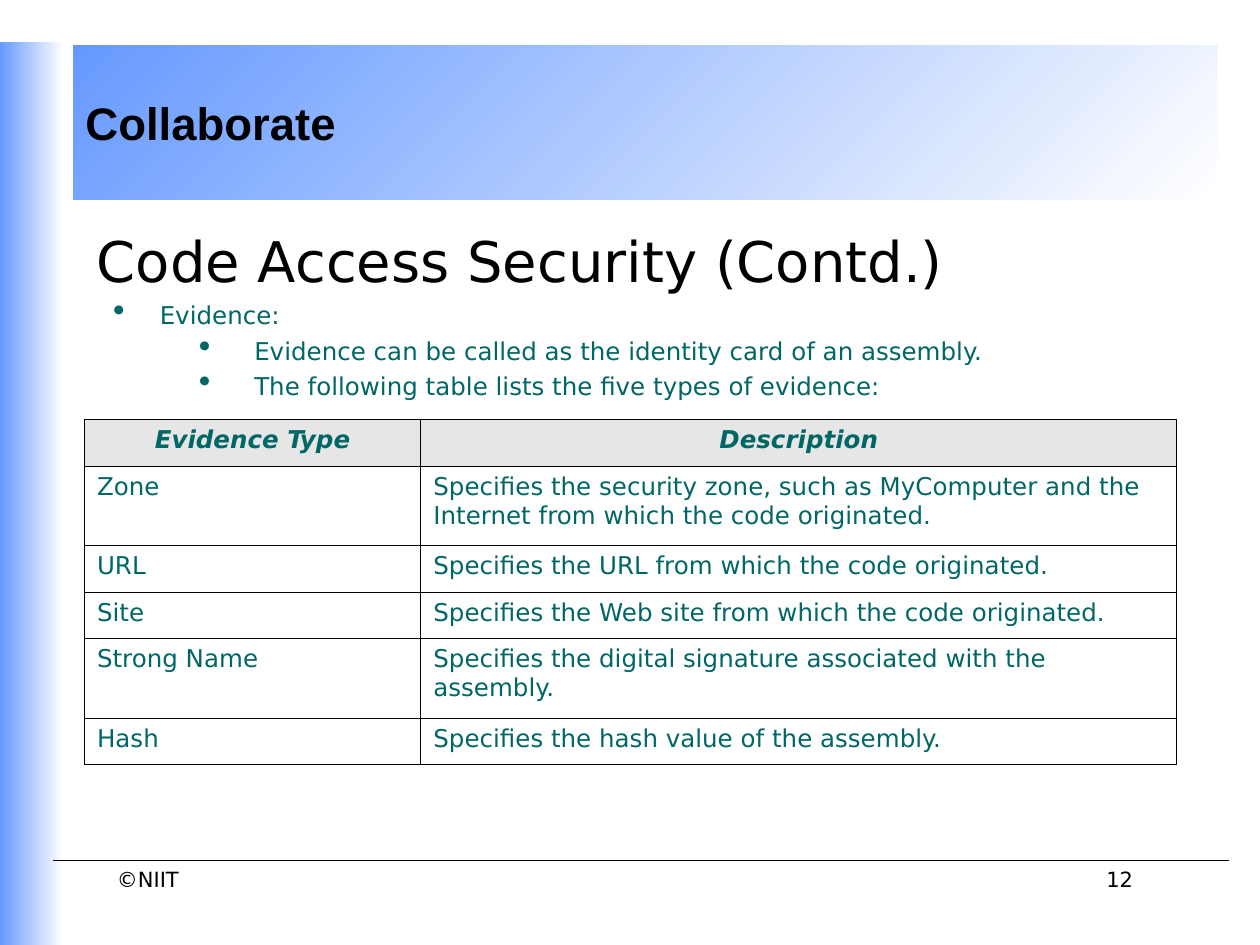
"""Build the Code Access Security slide with its table of evidence types."""
from lxml.etree import SubElement
from pptx import Presentation
from pptx.dml.color import RGBColor
from pptx.enum.shapes import MSO_CONNECTOR, MSO_SHAPE
from pptx.enum.text import MSO_ANCHOR, PP_ALIGN
from pptx.oxml.ns import qn
from pptx.util import Inches, Pt

BLACK = RGBColor(0x00, 0x00, 0x00)
WHITE = RGBColor(0xFF, 0xFF, 0xFF)
BLUE = RGBColor(0x66, 0x99, 0xFF)
TEAL = RGBColor(0x00, 0x66, 0x66)
GRAY = RGBColor(0xE6, 0xE6, 0xE6)
BODY_FONT = "DejaVu Sans"
HEADING_FONT = "Arial"

BANNER = "Collaborate"
TITLE = "Code Access Security (Contd.)"
BULLETS = [
    (1, "Evidence:"),
    (2, "Evidence can be called as the identity card of an assembly."),
    (2, "The following table lists the five types of evidence:"),
]
BULLET_INDENTS = {1: (0.5, -0.37), 2: (1.25, -0.44)}
EVIDENCE = [
    ("Evidence Type", ["Description"]),
    ("Zone", ["Specifies the security zone, such as MyComputer and the",
              "Internet from which the code originated."]),
    ("URL", ["Specifies the URL from which the code originated."]),
    ("Site", ["Specifies the Web site from which the code originated."]),
    ("Strong Name", ["Specifies the digital signature associated with the",
                     "assembly."]),
    ("Hash", ["Specifies the hash value of the assembly."]),
]
COLUMN_WIDTHS = (2.67, 6)
ROW_HEIGHTS = {1: 0.37, 2: 0.63}
FOOTERS = [
    ("©NIIT", (0.83, 6.83, 2.25, 0.42), PP_ALIGN.LEFT),
    ("12", (6.67, 6.83, 2.42, 0.5), PP_ALIGN.RIGHT),
]


def add_span(para, text, size, color, font=BODY_FONT, bold=False, italic=False):
    span = para.add_run()
    span.text = text
    span.font.size = Pt(size)
    span.font.name = font
    span.font.color.rgb = color
    span.font.bold = bold
    span.font.italic = italic


def add_box(page, place):
    box = page.shapes.add_textbox(*map(Inches, place))
    box.text_frame.word_wrap = True
    return box.text_frame


def add_gradient_panel(page, place, angle):
    panel = page.shapes.add_shape(MSO_SHAPE.RECTANGLE, *map(Inches, place))
    panel.shadow.inherit = False
    panel.line.fill.background()
    panel.fill.gradient()
    panel.fill.gradient_angle = angle
    for stop, color in zip(panel.fill.gradient_stops, (WHITE, BLUE)):
        stop.color.rgb = color
    return panel


def set_bullet(para, level):
    properties = para._p.get_or_add_pPr()
    left, hanging = BULLET_INDENTS[level]
    properties.set("marL", str(Inches(left)))
    properties.set("indent", str(Inches(hanging)))
    color = SubElement(properties, qn("a:buClr"))
    SubElement(color, qn("a:srgbClr"), val=str(TEAL))
    SubElement(properties, qn("a:buSzPct"), val="140000")
    SubElement(properties, qn("a:buChar"), char="•")
    para.level = level
    para.space_before = Pt(3.5)


def set_borders(cell):
    properties = cell._tc.get_or_add_tcPr()
    for side in ("lnL", "lnR", "lnT", "lnB"):
        border = SubElement(properties, qn(f"a:{side}"), w=str(Pt(0.45)))
        fill = SubElement(border, qn("a:solidFill"))
        SubElement(fill, qn("a:srgbClr"), val=str(BLACK))


def fill_cell(cell, lines, is_header):
    set_borders(cell)
    if is_header:
        cell.fill.solid()
        cell.fill.fore_color.rgb = GRAY
    else:
        cell.fill.background()
    frame = cell.text_frame
    for index, line in enumerate(lines):
        para = frame.add_paragraph() if index else frame.paragraphs[0]
        para.alignment = PP_ALIGN.CENTER if is_header else PP_ALIGN.LEFT
        add_span(para, line, 14, TEAL, bold=is_header, italic=is_header)


def add_evidence_table(page):
    heights = [ROW_HEIGHTS[len(lines)] for _, lines in EVIDENCE]
    place = (0.67, 3.33, sum(COLUMN_WIDTHS), sum(heights))
    table = page.shapes.add_table(
        len(EVIDENCE), len(COLUMN_WIDTHS), *map(Inches, place)).table
    table.first_row = False
    table.horz_banding = False
    for column, width in zip(table.columns, COLUMN_WIDTHS):
        column.width = Inches(width)
    for index, (kind, lines) in enumerate(EVIDENCE):
        table.rows[index].height = Inches(heights[index])
        fill_cell(table.cell(index, 0), [kind], index == 0)
        fill_cell(table.cell(index, 1), lines, index == 0)


def main():
    deck = Presentation()
    deck.slide_width, deck.slide_height = Inches(10), Inches(7.5)
    page = deck.slides.add_slide(deck.slide_layouts[6])

    banner = add_gradient_panel(page, (0.58, 0.36, 9.08, 1.22), 135).text_frame
    banner.word_wrap = False
    banner.vertical_anchor = MSO_ANCHOR.MIDDLE
    banner.paragraphs[0].alignment = PP_ALIGN.LEFT
    add_span(banner.paragraphs[0], BANNER, 26, BLACK, HEADING_FONT, bold=True)
    add_gradient_panel(page, (0, 0.33, 0.5, 7.17), 180)

    body = add_box(page, (0.67, 1.75, 8.83, 4.92))
    add_span(body.paragraphs[0], TITLE, 32, BLACK)
    for level, text in BULLETS:
        para = body.add_paragraph()
        set_bullet(para, level)
        add_span(para, text, 14, TEAL)

    rule = page.shapes.add_connector(
        MSO_CONNECTOR.STRAIGHT, *map(Inches, (0.42, 6.83, 9.75, 6.83)))
    rule.line.color.rgb = BLACK
    rule.line.width = Pt(0.75)
    SubElement(rule._element.spPr, qn("a:effectLst"))

    add_evidence_table(page)
    for text, place, alignment in FOOTERS:
        para = add_box(page, place).paragraphs[0]
        para.alignment = alignment
        add_span(para, text, 12, BLACK)

    deck.save("out.pptx")


if __name__ == "__main__":
    main()
